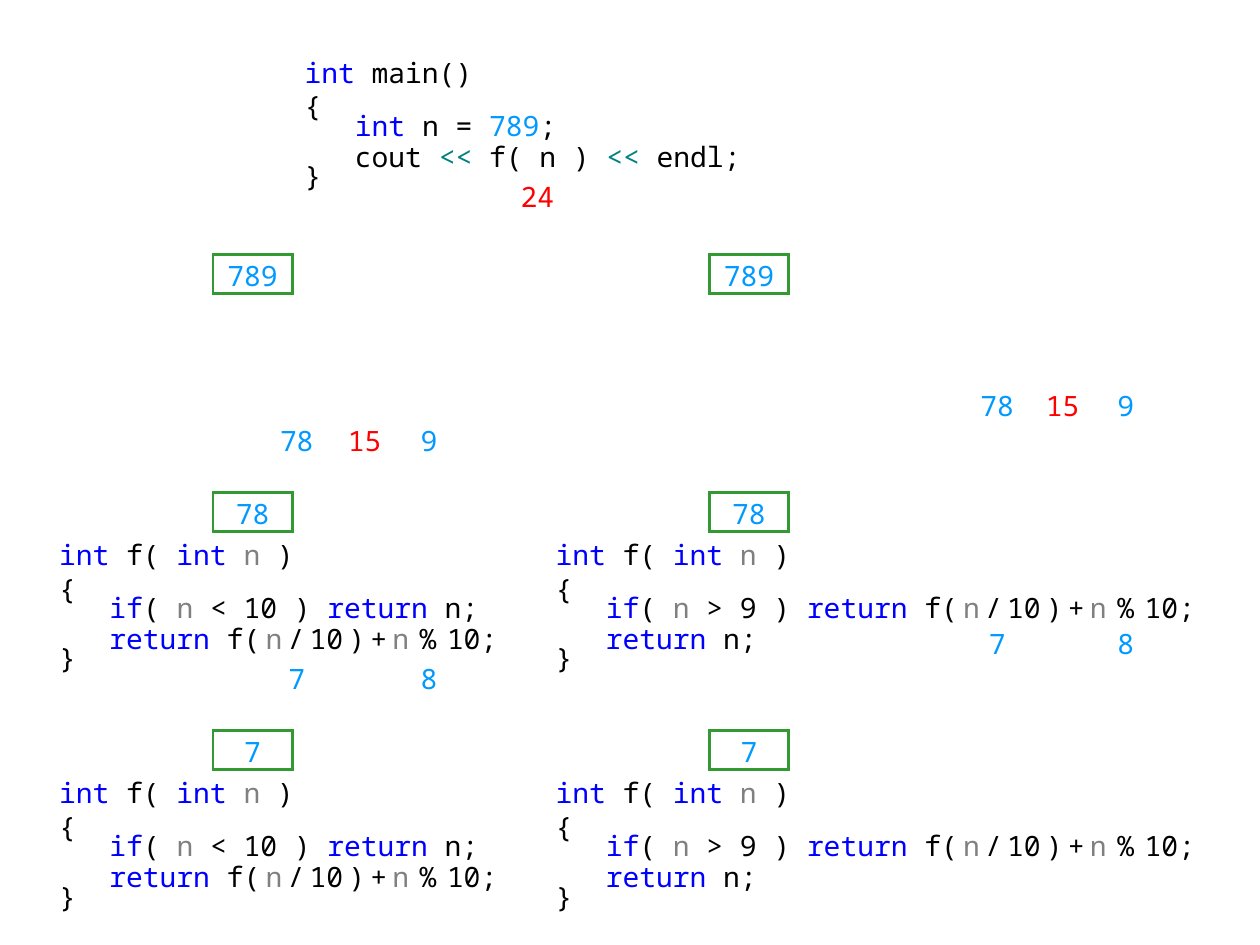
from lxml import etree
from pptx import Presentation, util as u
from pptx.dml.color import RGBColor
from pptx.enum import shapes, text
from pptx.oxml.ns import qn
from pptx.util import Inches

THEME = {
    "font": "Noto Sans Mono", "size": u.Pt(16), "rule": u.Pt(1.5),
    "key": "0000FF", "code": "000000", "var": "808080", "op": "008080",
    "value": "0099FF", "result": "FF0000", "frame": "339933",
    "paper": "FFFFFF",
}
PITCH = 1.89  # height of one call level


def write(shape, lines, insets, wrap=False, spacing=()):
    """Fill a shape with lines of (text, colour, tracking in points) runs."""
    frame = shape.text_frame
    frame.word_wrap = wrap
    (frame.margin_left, frame.margin_top,
     frame.margin_right, frame.margin_bottom) = map(Inches, insets)
    for i, line in enumerate(lines):
        para = frame.paragraphs[0] if i == 0 else frame.add_paragraph()
        para.font.name, para.font.size = THEME["font"], THEME["size"]
        if spacing:
            para.line_spacing = spacing[i]
        else:
            para.alignment = text.PP_ALIGN.CENTER
            frame.vertical_anchor = text.MSO_ANCHOR.MIDDLE
        for words, tone, *track in line:
            run = para.add_run()
            run.text = words
            run.font.color.rgb = RGBColor.from_string(THEME[tone])
            if track:
                run.font._element.set("spc", str(track[0] * 100))


def cell(left, top, width, edge, value, tone, insets):
    """Add a small outlined box around one value."""
    box = slide.shapes.add_shape(
        shapes.MSO_SHAPE.RECTANGLE, Inches(left), Inches(top),
        Inches(width), Inches(0.31))
    box.shadow.inherit = False
    box.fill.background()
    box.line.color.rgb = RGBColor.from_string(THEME[edge])
    box.line.width = THEME["rule"]
    etree.SubElement(box.line._get_or_add_ln(), qn("a:miter"), lim="800000")
    write(box, [[(value, tone)]], insets)


deck = Presentation()
deck.slide_width, deck.slide_height = Inches(10), Inches(7.5)
slide = deck.slides.add_slide(deck.slide_layouts[6])
items = slide.shapes

# Code listings
gaps = (1.0, 1.0, 0.5, 1.0, 0.5)
start, end = [("{", "code")], [("}", "code")]
main = [
    [("int", "key"), (" main()", "code")],
    start,
    [("   int ", "key"), ("n = ", "code"), ("789", "value"), (";", "code")],
    [("   cout ", "code"), ("<< ", "op"), ("f( n ) ", "code"),
     ("<< ", "op"), ("endl;", "code")],
    end,
]
box = items.add_textbox(Inches(2.32), Inches(0.44), Inches(3.78), Inches(1.1))
write(box, main, (0.1, 0, 0.1, 0.05), True, gaps)

head = [("int", "key"), (" f( ", "code"), ("int ", "key"),
        ("n", "var"), (" )", "code")]
recur = [("return", "key"), (" f", "code"), ("(", "code", 3), ("n", "var", 3),
         ("/", "code", 3), ("1", "code"), ("0)+", "code", 3),
         ("n", "var", 6), ("%", "code", 6), ("10;", "code")]
stop = [("return ", "key"), ("n;", "code")]
pad = [("   ", "code")]
test = pad + [("if", "key"), ("( ", "code"), ("n", "var")]
below = [head, start, test + [(" < 10 ) ", "code")] + stop, pad + recur, end]
above = [head, start, test + [(" > 9 ) ", "code")] + recur, pad + stop, end]
for level in (1, 2):
    top = Inches(2.33 + level * PITCH)
    for left, width, lines, wrap in ((0.43, 3.62, below, True),
                                     (4.37, 5.2, above, False)):
        box = items.add_textbox(Inches(left), top, Inches(width), Inches(1.1))
        write(box, lines, (0.04, 0.05, 0.04, 0.05), wrap, gaps)

# Framed argument of each call
for level, value in enumerate(("789", "78", "7")):
    for left in (1.69, 5.63):
        cell(left, 2.02 + level * PITCH, 0.63, "frame", value, "value",
             (0.1, 0.02, 0.1, 0))

# Values under the recursive expressions: left, top, width, insets
spots = {
    "arg": ((2.17, 3.44, 0.47, (0, 0, 0.1, 0.2)),
            (7.68, 3.12, 0.47, (0.1, 0, 0.1, 0.12))),
    "sum": ((2.64, 3.44, 0.47, (0.04, 0, 0, 0.2)),
            (8.15, 3.12, 0.47, (0.1, 0, 0, 0.12))),
    "digit": ((3.27, 3.44, 0.31, (0, 0, 0.04, 0.2)),
              (8.78, 3.12, 0.31, (0.1, 0, 0.1, 0.12))),
}
for spot, level, value, tone in (
        ("arg", 0, "78", "value"), ("arg", 1, "7", "value"),
        ("digit", 1, "8", "value"), ("digit", 0, "9", "value"),
        ("sum", 0, "15", "result")):
    for left, top, width, insets in spots[spot]:
        cell(left, top + level * PITCH, width, "paper", value, tone, insets)

# Final answer
box = items.add_textbox(Inches(4.06), Inches(1.39), Inches(0.47), Inches(0.31))
write(box, [[("24", "result")]], (0.04, 0.02, 0.1, 0))

deck.save("out.pptx")
